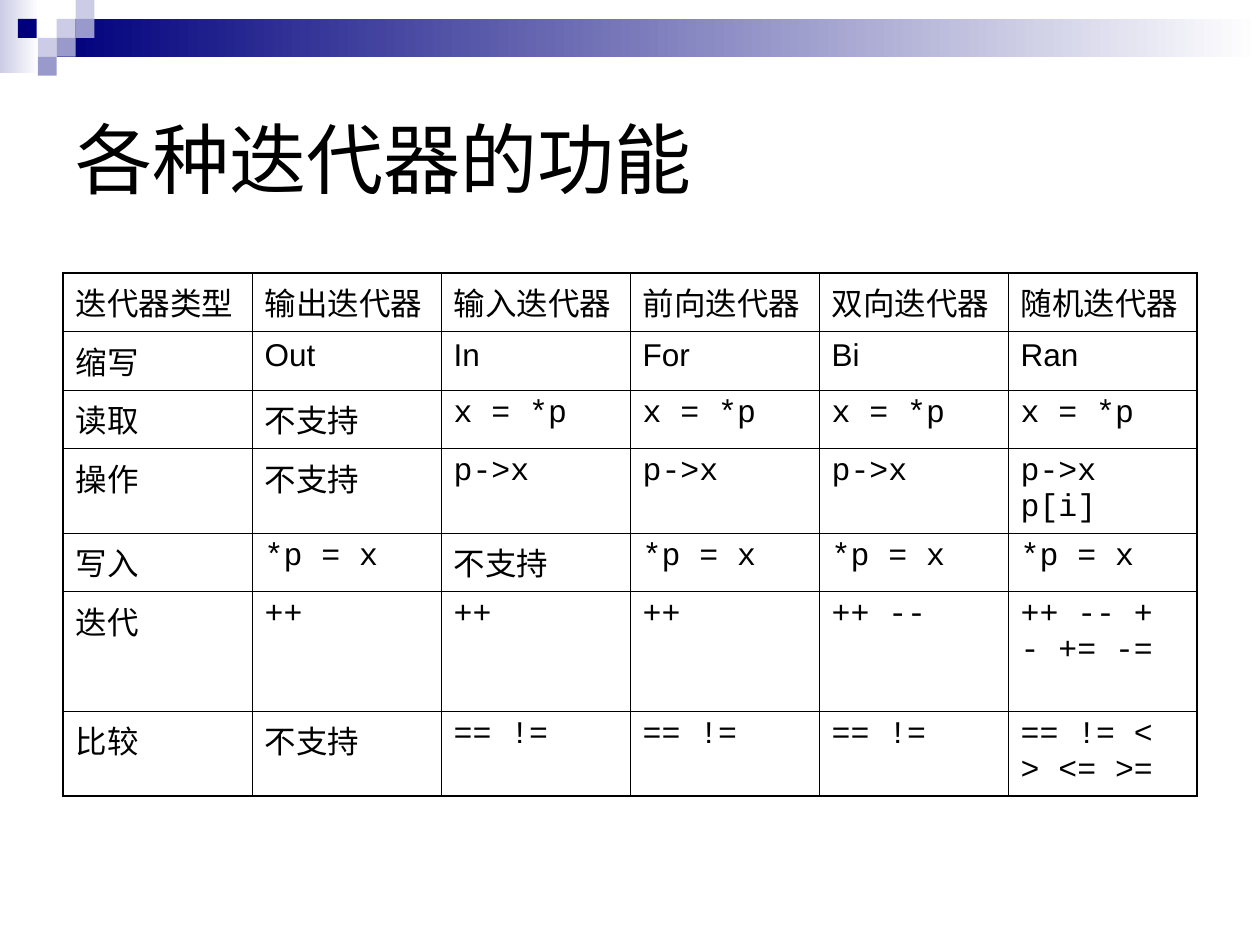
"""Build a slide with a table of what each kind of iterator can do."""
from typing import NamedTuple

import pptx
import pptx.dml.color
import pptx.enum.shapes
import pptx.enum.text
import pptx.oxml
import pptx.oxml.ns
import pptx.util
from lxml import etree

Pt = pptx.util.Pt
RGB = pptx.dml.color.RGBColor
BLACK = RGB(0x00, 0x00, 0x00)
WHITE = RGB(0xFF, 0xFF, 0xFF)
NAVY = RGB(0x00, 0x00, 0x7D)
MID = RGB(0x99, 0x99, 0xCC)
PALE = RGB(0xCC, 0xCC, 0xE6)
SANS = "Arial"
MONO = "Courier New"
THIN = 0.45
THICK = 1.08
SIDE = 10.8
WIDTH = 108
HEIGHTS = (33.4, 33.4, 33.4, 48.4, 33.4, 68.4, 48.4)
NO = "不支持"
ROWS = (
    ("迭代器类型", "输出迭代器", "输入迭代器", "前向迭代器", "双向迭代器", "随机迭代器"),
    ("缩写", "Out", "In", "For", "Bi", "Ran"),
    ("读取", NO, "x = *p", "x = *p", "x = *p", "x = *p"),
    ("操作", NO, "p->x", "p->x", "p->x", "p->x p[i]"),
    ("写入", "*p = x", NO, "*p = x", "*p = x", "*p = x"),
    ("迭代", "++", "++", "++", "++ --", "++ -- + - += -="),
    ("比较", NO, "== !=", "== !=", "== !=", "== != < > <= >="),
)


class Block(NamedTuple):
    left: float
    top: float
    width: float
    height: float
    color: RGB
    fade: bool = False


BLOCKS = (
    Block(0, 0, 22.3, 41.8, PALE, True),
    Block(32.4, SIDE, 687.6, 21.6, NAVY, True),
    Block(32.4, SIDE, SIDE, SIDE, PALE),
    Block(43.2, 0, SIDE, SIDE, PALE),
    Block(43.2, SIDE, SIDE, SIDE, MID),
    Block(21.6, 21.6, SIDE, SIDE, PALE),
    Block(10.2, SIDE, SIDE, SIDE, NAVY),
    Block(32.4, 21.6, SIDE, SIDE, MID),
    Block(21.6, 32.4, SIDE, SIDE, MID),
)


def add_block(slide, block: Block) -> None:
    shape = slide.shapes.add_shape(
        pptx.enum.shapes.MSO_SHAPE.RECTANGLE, *(Pt(size) for size in block[:4])
    )
    shape.shadow.inherit = False
    shape.line.fill.background()
    if block.fade:
        shape.fill.gradient()
        shape.fill.gradient_angle = 0
        for stop, color in zip(shape.fill.gradient_stops, (block.color, WHITE)):
            stop.color.rgb = color
    else:
        shape.fill.solid()
        shape.fill.fore_color.rgb = block.color


def style(frame, size: float, font: str) -> None:
    for part in frame.paragraphs:
        part.alignment = pptx.enum.text.PP_ALIGN.LEFT
        for run in part.runs:
            run.font.size = Pt(size)
            run.font.name = font
            run.font.color.rgb = BLACK


def add_title(slide, text: str) -> None:
    title = slide.shapes.title
    title.left, title.top = Pt(36), Pt(36)
    title.width, title.height = Pt(648), Pt(108)
    frame = title.text_frame
    frame.text = text
    frame.word_wrap = True
    frame.auto_size = pptx.enum.text.MSO_AUTO_SIZE.NONE
    frame.vertical_anchor = pptx.enum.text.MSO_ANCHOR.MIDDLE
    style(frame, 44, SANS)


def set_edge(cell, side: str, index: int, width: float) -> None:
    line = pptx.oxml.parse_xml(
        f'<a:ln{side} {pptx.oxml.ns.nsdecls("a")} w="{Pt(width)}"/>'
    )
    fill = etree.SubElement(line, pptx.oxml.ns.qn("a:solidFill"))
    etree.SubElement(fill, pptx.oxml.ns.qn("a:srgbClr"), val=str(BLACK))
    cell.fill.background()
    cell.fill._xPr.insert(index, line)


def add_grid(slide) -> None:
    rows, cols = len(ROWS), len(ROWS[0])
    table = slide.shapes.add_table(
        rows, cols, Pt(36), Pt(156), Pt(cols * WIDTH), Pt(sum(HEIGHTS))
    ).table
    table.first_row = table.horz_banding = False
    for col in table.columns:
        col.width = Pt(WIDTH)
    for y, (words, height) in enumerate(zip(ROWS, HEIGHTS)):
        table.rows[y].height = Pt(height)
        for x, text in enumerate(words):
            cell = table.cell(y, x)
            cell.text_frame.text = text
            cell.text_frame.paragraphs[0].space_before = Pt(4.5)
            style(cell.text_frame, 18, MONO if y > 1 and text.isascii() else SANS)
            outer = {"L": x == 0, "R": x == cols - 1, "T": y == 0, "B": y == rows - 1}
            for index, (side, edge) in enumerate(outer.items()):
                set_edge(cell, side, index, THICK if edge else THIN)


def main() -> None:
    deck = pptx.Presentation()
    deck.slide_width, deck.slide_height = Pt(720), Pt(540)
    slide = deck.slides.add_slide(deck.slide_layouts[5])
    for block in BLOCKS:
        add_block(slide, block)
    add_title(slide, "各种迭代器的功能")
    add_grid(slide)
    deck.save("out.pptx")


if __name__ == "__main__":
    main()
